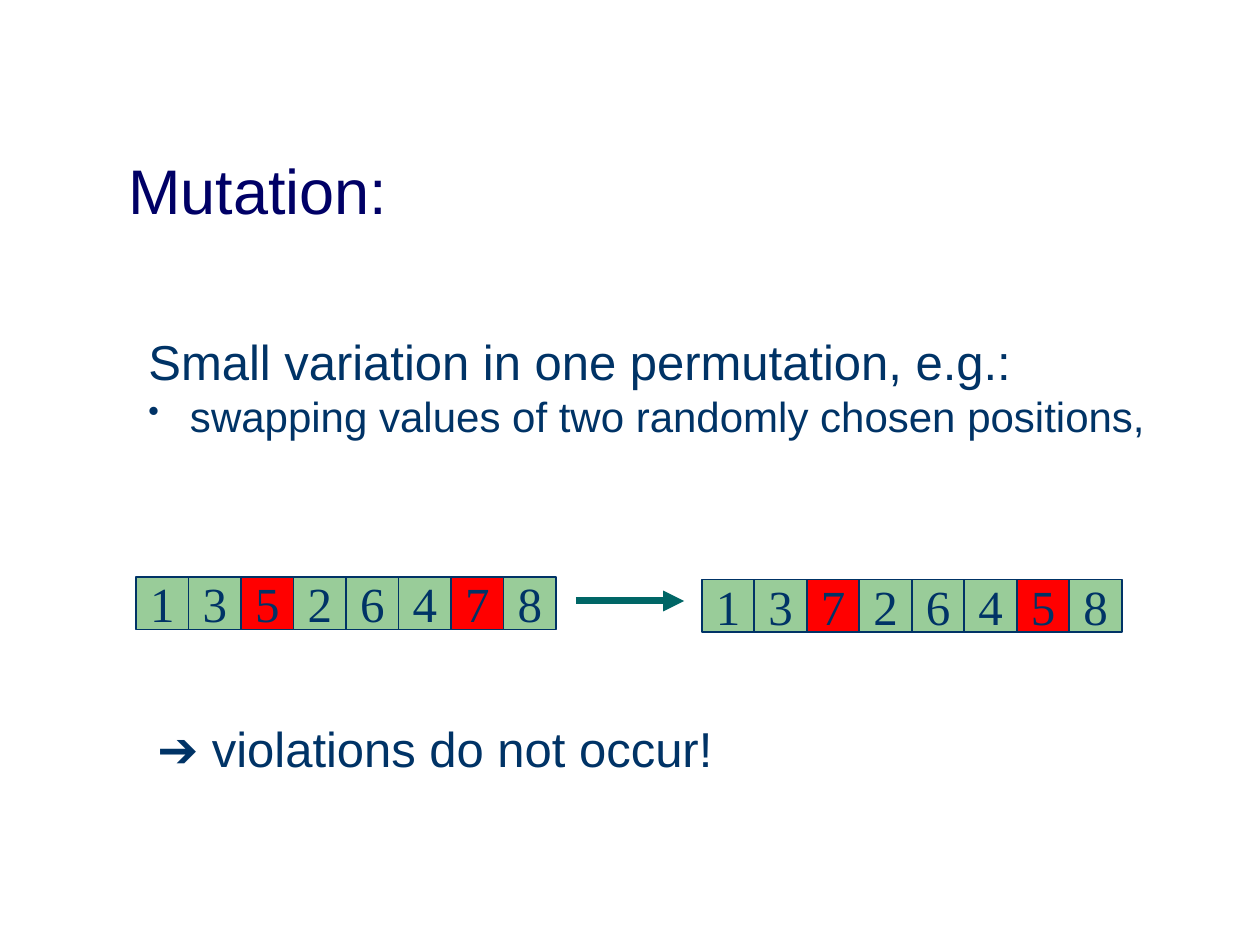
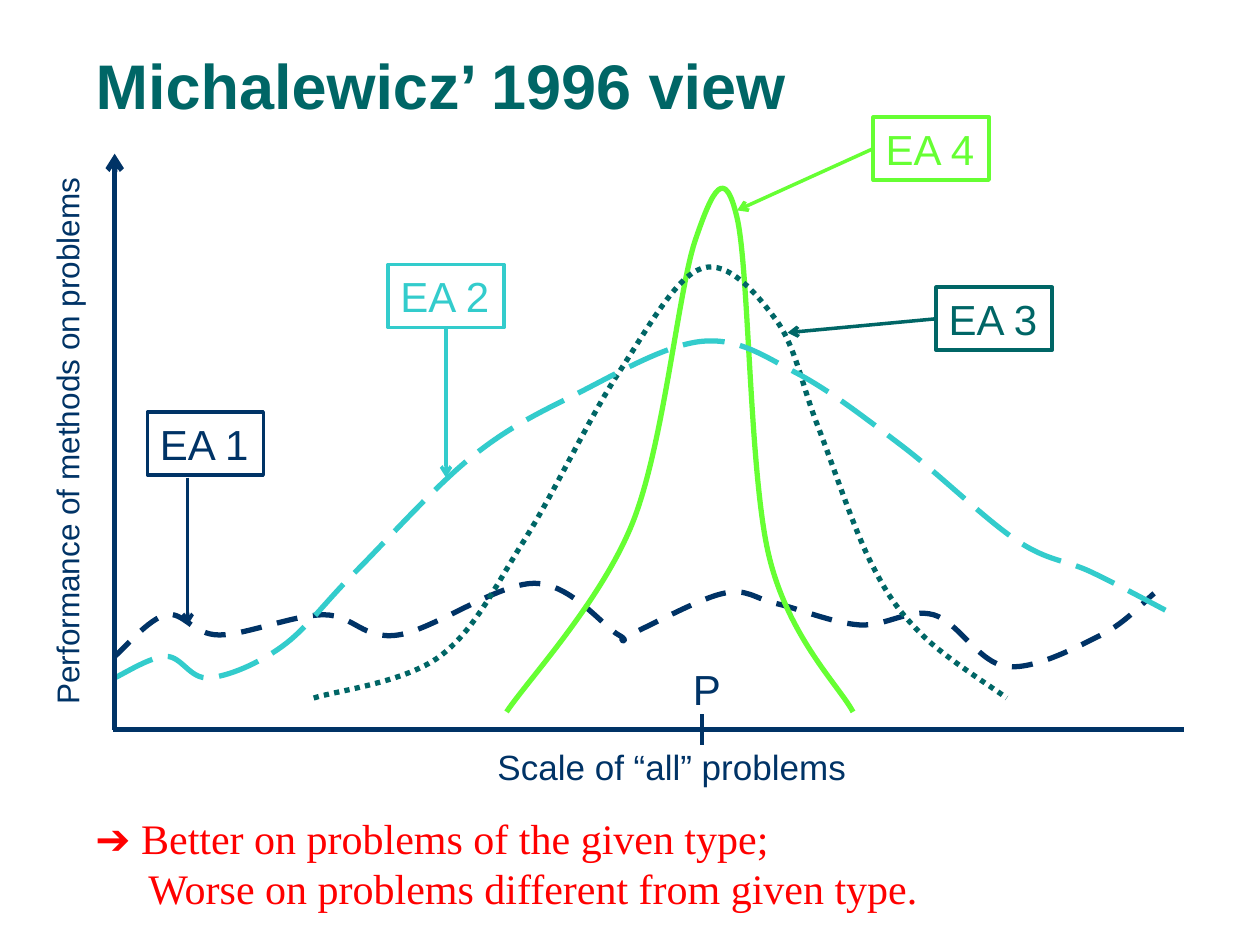
from itertools import islice
from lxml.etree import SubElement
from pptx import Presentation
from pptx.dml.color import RGBColor
from pptx.enum.dml import MSO_LINE as DASH
from pptx.enum.shapes import MSO_CONNECTOR as CONNECTOR, MSO_SHAPE as SHAPE
from pptx.enum.text import MSO_ANCHOR as ANCHOR, MSO_AUTO_SIZE as FIT, PP_ALIGN as ALIGN
from pptx.oxml.ns import qn
from pptx.util import Inches, Pt

NAVY, TEAL, LIME, AQUA = "003366", "006666", "66FF33", "33CCCC"
INDIGO, GREEN, RED = "000066", "99CC99", "FF0000"
SANS, SERIF = "Arial", "Times New Roman"


def paint(fill, color):
    fill.solid()
    fill.fore_color.rgb = RGBColor.from_string(color)


def write(shape, text, size=24, color=NAVY, font=SANS, bold=False, align=ALIGN.LEFT,
          anchor=ANCHOR.TOP, wrap=True, indent=0, bullet=None, spacing=None, join=False):
    frame = shape.text_frame
    frame.auto_size = FIT.NONE
    frame.word_wrap = wrap
    frame.vertical_anchor = anchor
    paragraph = frame.paragraphs[-1]
    if paragraph.runs and not join:
        paragraph = frame.add_paragraph()
    paragraph.alignment = align
    paragraph.line_spacing = spacing
    if indent:
        props = paragraph._p.get_or_add_pPr()
        props.set("marL", str(Inches(indent)))
        if bullet:
            props.set("indent", str(-Inches(indent)))
            SubElement(props, qn("a:buSzPct"), val="75000")
            SubElement(props, qn("a:buChar"), char=bullet)
    run = paragraph.add_run()
    run.text = text
    run.font.name = font
    run.font.size = Pt(size)
    run.font.bold = bold
    paint(run.font.fill, color)


prs = Presentation()
prs.slide_width, prs.slide_height = Inches(10), Inches(7.5)
mutation, view = [prs.slides.add_slide(prs.slide_layouts[5]) for _ in range(2)]

titles = [
    (mutation, (0.92, 0.85, 9.08, 1), "Mutation:", dict(color=INDIGO, anchor=ANCHOR.BOTTOM)),
    (view, (0.66, 0.25, 8.67, 0.92), "Michalewicz’ 1996 view",
     dict(color=TEAL, anchor=ANCHOR.MIDDLE, bold=True, spacing=0.9)),
]
for slide, place, text, look in titles:
    title = slide.shapes.title
    title.left, title.top, title.width, title.height = map(Inches, place)
    write(title, text, size=36, **look)

variation = mutation.shapes.add_textbox(*map(Inches, (1.08, 2.58, 8.17, 0.96)))
write(variation, "Small variation in one permutation, e.g.:", size=28)
write(variation, "swapping values of two randomly chosen positions,", indent=0.33, bullet="•")

cell = 5 / 12
for left, top, permutation in [(1.08, 4.58, "13526478"), (5.57, 4.6, "13726458")]:
    for position, value in enumerate(permutation):
        gene = mutation.shapes.add_shape(
            SHAPE.RECTANGLE, Inches(left + position * cell), Inches(top), Inches(cell), Inches(cell))
        gene.shadow.inherit = False
        paint(gene.fill, RED if value in "57" else GREEN)
        paint(gene.line.fill, NAVY)
        gene.line.width = Pt(1)
        frame = gene.text_frame
        frame.margin_left = frame.margin_right = frame.margin_top = frame.margin_bottom = 0
        write(gene, value, size=28, font=SERIF, align=ALIGN.CENTER, anchor=ANCHOR.MIDDLE, wrap=False)

conclusion = mutation.shapes.add_textbox(*map(Inches, (1.15, 5.65, 8.51, 1.03)))
write(conclusion, "➔ violations do not occur!", size=28)

scale_labels = [
    ((3.85, 5.87, 2.97, 0.44), "Scale of “all” problems", 20, 0),
    ((5.4, 5.22, 0.42, 0.5), "P", 24, 0),
    ((-1.66, 3.3, 4.38, 0.4), "Performance of methods on problems", 18, 270),
]
for place, text, size, rotation in scale_labels:
    label = view.shapes.add_textbox(*map(Inches, place))
    label.rotation = rotation
    write(label, text, size=size, wrap=False)

curves = [
    ("EA 1", NAVY, DASH.DASH, (1.17, 3.27), [
        (0.91, 5.21), (1.32, 4.88), (1.74, 5.04), (2.57, 4.88), (3.16, 5.04), (4.24, 4.63),
        (4.91, 5.04), (4.99, 5.04), (5.74, 4.71), (6.16, 4.79), (6.82, 4.96), (7.41, 4.88),
        (7.99, 5.29), (8.74, 5.04), (9.16, 4.71)]),
    ("EA 4", LIME, DASH.SOLID, (6.93, 0.93), [
        (4.02, 5.65), (5.02, 4.15), (5.52, 1.9), (5.85, 1.73), (6.1, 4.4), (6.77, 5.65)]),
    ("EA 3", TEAL, DASH.ROUND_DOT, (7.43, 2.28), [
        (2.49, 5.54), (3.49, 5.21), (4.16, 4.29), (4.91, 2.96), (5.57, 2.13), (6.16, 2.54),
        (6.49, 3.38), (6.91, 4.46), (7.32, 5.04), (7.99, 5.54)]),
    ("EA 2", AQUA, DASH.LONG_DASH, (3.08, 2.1), [
        (0.91, 5.38), (1.32, 5.21), (1.66, 5.38), (2.24, 5.13), (2.82, 4.54), (3.74, 3.63),
        (4.57, 3.13), (5.57, 2.71), (6.32, 2.96), (7.16, 3.54), (8.07, 4.29), (8.66, 4.54),
        (9.32, 4.88)]),
]
algorithms = {}
for name, color, dash, corner, points in curves:
    knots = [points[0], *points, points[-1]]
    controls = []
    for before, here, after, beyond in zip(knots, knots[1:], knots[2:], knots[3:]):
        controls += [
            [Inches(h + (a - b) / 6) for b, h, a in zip(before, here, after)],
            [Inches(a - (y - h) / 6) for h, a, y in zip(here, after, beyond)],
            [Inches(a) for a in after],
        ]
    builder = view.shapes.build_freeform(*map(Inches, points[0]))
    builder.add_line_segments(controls, close=False)
    curve = builder.convert_to_shape()
    outline = next(curve.element.iter(qn("a:path")))
    segments = iter(list(outline)[1:])
    while triple := list(islice(segments, 3)):
        bezier = SubElement(outline, qn("a:cubicBezTo"))
        for segment in triple:
            bezier.append(segment[0])
            outline.remove(segment)
    curve.line.dash_style = dash
    algorithm = view.shapes.add_shape(SHAPE.RECTANGLE, *map(Inches, (*corner, 0.92, 0.5)))
    write(algorithm, name, color=color, wrap=False)
    algorithms[name] = algorithm
    for shape, width in [(curve, 3), (algorithm, 2)]:
        shape.shadow.inherit = False
        shape.fill.background()
        paint(shape.line.fill, color)
        shape.line.width = Pt(width)

lines = [
    (mutation, (4.57, 4.77, 5.43, 4.77), TEAL, 4, "triangle", None),
    (view, (0.9, 5.79, 9.4, 5.79), NAVY, 3, None, None),
    (view, (5.57, 5.67, 5.57, 5.91), NAVY, 2, None, None),
    (view, (0.91, 5.79, 0.91, 1.22), NAVY, 3, "arrow", None),
    (view, (1.49, 3.79, 1.49, 4.96), NAVY, 2, "arrow", None),
    (view, (6.93, 1.18, 5.85, 1.67), LIME, 2, "arrow", ("EA 4", 1)),
    (view, (7.43, 2.53, 6.25, 2.64), TEAL, 2, "arrow", ("EA 3", 1)),
    (view, (3.54, 2.6, 3.54, 3.79), AQUA, 2, "arrow", ("EA 2", 2)),
]
for slide, ends, color, width, head, source in lines:
    line = slide.shapes.add_connector(CONNECTOR.STRAIGHT, *map(Inches, ends))
    if source:
        name, side = source
        line.begin_connect(algorithms[name], side)
    paint(line.line.fill, color)
    line.line.width = Pt(width)
    properties = line.element.spPr
    if head:
        SubElement(properties.find(qn("a:ln")), qn("a:tailEnd"), type=head)
    SubElement(properties, qn("a:effectLst"))

verdict = view.shapes.add_textbox(*map(Inches, (0.66, 6.4, 8.7, 0.9)))
write(verdict, "➔", color=RED)
write(verdict, " Better on problems of the given type;", color=RED, font=SERIF, join=True)
write(verdict, "Worse on problems different from given type.", color=RED, font=SERIF, indent=0.42)

prs.save("out.pptx")
